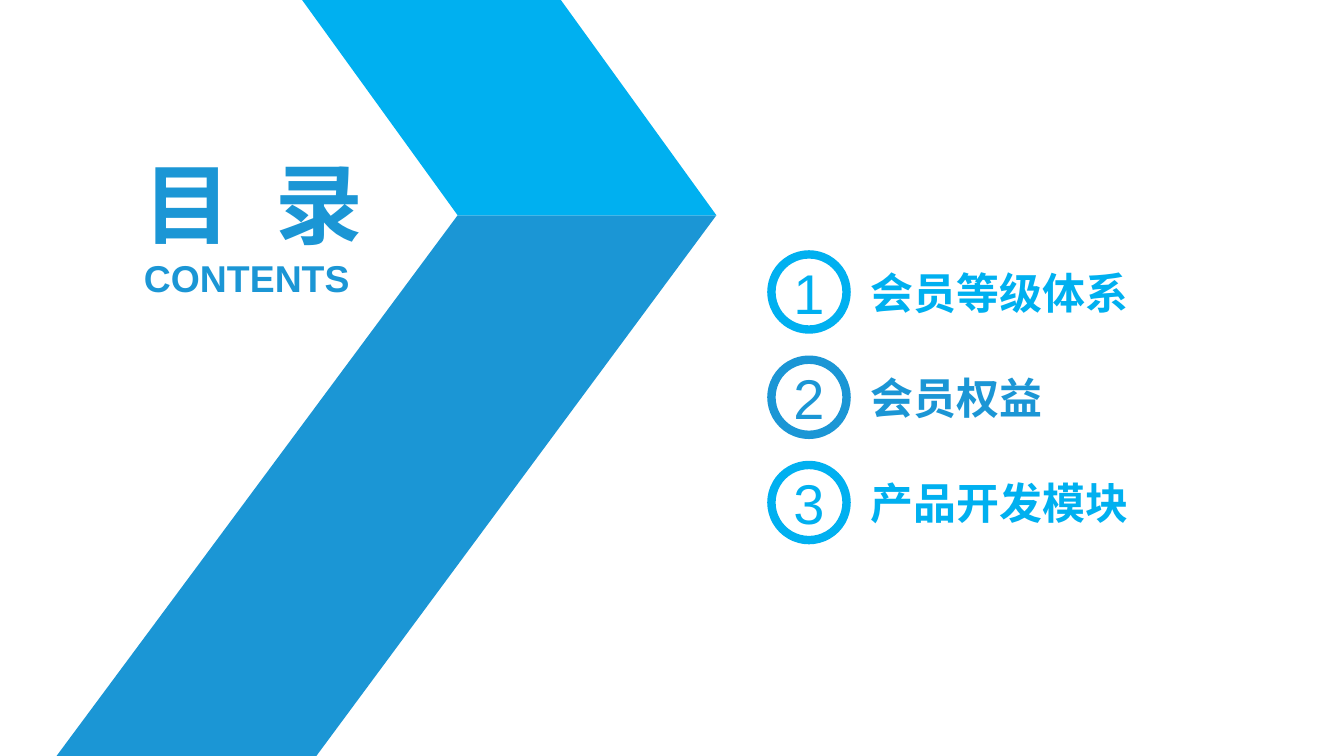
from dataclasses import dataclass

import pptx
import pptx.dml.color
import pptx.enum.shapes
import pptx.enum.text
import pptx.util

Cm = pptx.util.Cm
RGBColor = pptx.dml.color.RGBColor
ALIGN = pptx.enum.text.PP_ALIGN
ANCHOR = pptx.enum.text.MSO_ANCHOR

SKY = RGBColor(0x00, 0xB0, 0xF0)
BLUE = RGBColor(0x1B, 0x96, 0xD5)
WHITE = RGBColor(0xFF, 0xFF, 0xFF)

CIRCLE = 1.42
FIRST_CENTER = 5.52
PITCH = 1.99


@dataclass
class Band:
    points: list[tuple[float, float]]
    color: RGBColor


@dataclass
class Item:
    title: str
    color: RGBColor


BANDS = [
    Band([(8.65, 4.07), (13.54, 4.07), (5.98, 14.29), (1.07, 14.29)], BLUE),
    Band([(5.71, 0), (10.6, 0), (13.54, 4.07), (8.65, 4.07)], SKY),
]
ITEMS = [
    Item("会员等级体系", SKY),
    Item("会员权益", BLUE),
    Item("产品开发模块", SKY),
]


def write(sp, text: str, *, size: float, color: RGBColor, bold: bool = False,
          align=ALIGN.CENTER, anchor=ANCHOR.MIDDLE, spacing: float = 0) -> None:
    tf = sp.text_frame
    tf.word_wrap = True
    tf.vertical_anchor = anchor
    tf.margin_left = tf.margin_right = tf.margin_top = tf.margin_bottom = 0
    p = tf.paragraphs[0]
    p.alignment = align
    r = p.add_run()
    r.text = text
    r.font.name = "Arial"
    r.font.size = pptx.util.Pt(size)
    r.font.bold = bold
    r.font.color.rgb = color
    if spacing:
        r.font._element.set("spc", str(round(spacing * 100)))


def add_text(s, x: float, y: float, w: float, h: float, text: str, **fmt) -> None:
    write(s.shapes.add_textbox(Cm(x), Cm(y), Cm(w), Cm(h)), text, **fmt)


def add_band(s, band: Band) -> None:
    start, *rest = [(Cm(x), Cm(y)) for x, y in band.points]
    builder = s.shapes.build_freeform(*start)
    builder.add_line_segments(rest, close=True)
    sp = builder.convert_to_shape()
    sp.shadow.inherit = False
    sp.fill.solid()
    sp.fill.fore_color.rgb = band.color
    sp.line.fill.background()


def add_item(s, index: int, item: Item) -> None:
    center = FIRST_CENTER + index * PITCH
    sp = s.shapes.add_shape(pptx.enum.shapes.MSO_SHAPE.OVAL, Cm(14.58),
                            Cm(center - CIRCLE / 2), Cm(CIRCLE), Cm(CIRCLE))
    sp.shadow.inherit = False
    sp.fill.solid()
    sp.fill.fore_color.rgb = WHITE
    sp.line.color.rgb = item.color
    sp.line.width = pptx.util.Pt(4.5)
    write(sp, str(index + 1), size=30, color=item.color)
    add_text(s, 16.46, center - 0.5, 5.33, 1, item.title, size=23,
             color=item.color, bold=True, align=ALIGN.LEFT)


def main() -> None:
    prs = pptx.Presentation()
    prs.slide_width, prs.slide_height = Cm(25.4), Cm(14.29)
    s = prs.slides.add_slide(prs.slide_layouts[6])

    add_text(s, 2.29, 2.82, 5, 2.01, "目 录", size=47, color=BLUE, bold=True,
             spacing=6.5)
    add_text(s, 2.29, 4.83, 4.75, 0.86, "CONTENTS", size=20, color=BLUE,
             bold=True, anchor=ANCHOR.TOP)
    for band in BANDS:
        add_band(s, band)
    for index, item in enumerate(ITEMS):
        add_item(s, index, item)

    prs.save("out.pptx")


if __name__ == "__main__":
    main()
